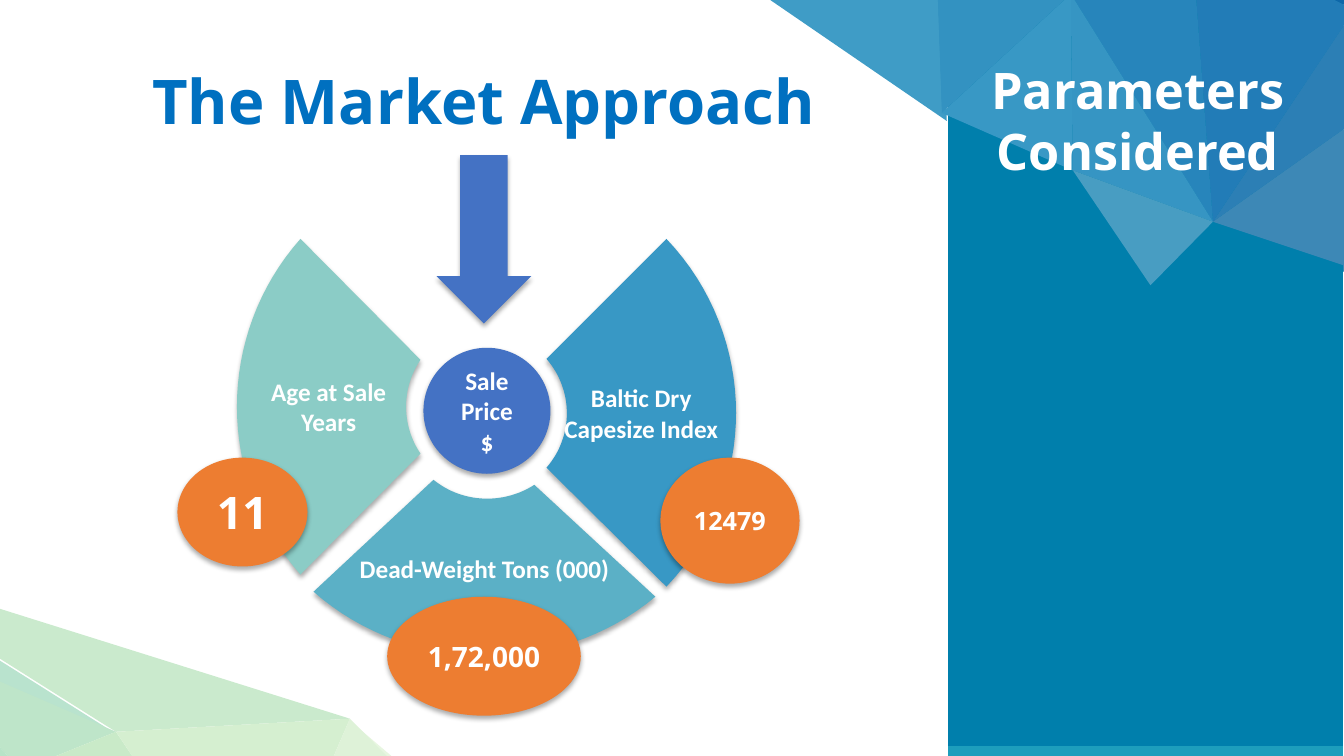
import lxml.etree
import pptx
import pptx.dml.color
import pptx.enum.shapes
import pptx.enum.text
import pptx.oxml.ns
import pptx.util

PX = 9144  # EMU per px, 100 px to the inch
WHITE, BLUE, ORANGE, TITLE = "FFFFFF", "4472C4", "ED7D31", "0070C0"
SHAPE = pptx.enum.shapes.MSO_SHAPE

# Corners of the blue facets at top right and the green ones at bottom left
CORNERS = {
    "hub": (1203, 220), "ridge": (1343, 10), "crest": (1330, -152),
    "peak": (1181, -73), "east": (1361, 108), "tail": (1389, 282),
    "notch": (1062, -6), "mid": (1064, 169), "south": (1141, 283),
    "west": (934, 112), "cap": (928, -56), "far": (705, -45),
    "slope": (-156, 555), "fold": (115, 726), "tip": (347, 713),
    "edge": (-102, 632), "base": (21, 764), "foot": (-42, 787),
    "root": (253, 931), "heel": (514, 881), "toe": (565, 898),
}
TOP_SHIFT, BOTTOM_SHIFT = (5, 8), (0, 2)
LOWER_FACETS = [
    ("B9E3CE", "slope edge fold", BOTTOM_SHIFT),
    ("3D88B6", "tail east hub", TOP_SHIFT),
    ("3F9CC6", "west cap far", TOP_SHIFT),
    ("E7F6E0", "tip heel toe", BOTTOM_SHIFT),
]
UPPER_FACETS = [
    ("3D88B6", "tail east hub"), ("0E67A9", "ridge crest peak"),
    ("2C7FB5", "east ridge hub"), ("227CB7", "ridge peak hub"),
    ("2785BB", "hub peak notch"), ("3695C3", "hub notch mid"),
    ("489DC2", "hub mid south"), ("3898C5", "mid notch west"),
    ("3392C1", "notch cap west"), ("3F9CC6", "west cap far"),
    ("CAEACD", "slope fold tip"), ("BEE5C9", "edge base fold"),
    ("B8E3C7", "edge foot base"), ("C9EAC8", "base root fold"),
    ("D5EFD0", "fold root tip"), ("DEF2D8", "tip root heel"),
]


def rgb(color):
    return pptx.dml.color.RGBColor.from_string(color)


def curve(a, b, c, d, steps=32):
    """Points along a cubic Bezier curve from a to d with handles b and c."""
    points = []
    for i in range(steps + 1):
        t = i / steps
        u = 1 - t
        points.append(tuple(
            u**3 * a[k] + 3 * u * u * t * b[k] + 3 * u * t * t * c[k] + t**3 * d[k]
            for k in (0, 1)))
    return points


class Slide:
    def __init__(self, slide, font, label_font):
        self.shapes = slide.shapes
        self.font = font
        self.label_font = label_font

    def paint(self, sp, color, shadow=False):
        sp.fill.solid()
        sp.fill.fore_color.rgb = rgb(color)
        sp.line.fill.background()
        sp.shadow.inherit = False
        if shadow:
            qn = pptx.oxml.ns.qn
            effects = sp.element.spPr.find(qn("a:effectLst"))
            outer = lxml.etree.SubElement(
                effects, qn("a:outerShdw"), blurRad="44450", dist="27940",
                dir="5400000", algn="ctr", rotWithShape="0")
            black = lxml.etree.SubElement(outer, qn("a:srgbClr"), val="000000")
            lxml.etree.SubElement(black, qn("a:alpha"), val="32000")

    def set_text(self, sp, text, size, font, color=WHITE):
        tf = sp.text_frame
        tf.word_wrap = True
        tf.text = text
        for p in tf.paragraphs:
            p.alignment = pptx.enum.text.PP_ALIGN.CENTER
            for r in p.runs:
                r.font.name = font
                r.font.size = pptx.util.Pt(size)
                r.font.bold = True
                r.font.color.rgb = rgb(color)
        return tf

    def label(self, sp, text, size, font):
        tf = self.set_text(sp, text, size, font)
        tf.vertical_anchor = pptx.enum.text.MSO_ANCHOR.MIDDLE

    def polygon(self, points, color, shadow=False):
        corners = [(round(x * PX), round(y * PX)) for x, y in points]
        builder = self.shapes.build_freeform(*corners[0], scale=1.0)
        builder.add_line_segments(corners[1:], close=True)
        sp = builder.convert_to_shape()
        self.paint(sp, color, shadow)
        return sp

    def facet(self, color, names, shift=(0, 0)):
        corners = [CORNERS[name] for name in names.split()]
        self.polygon([(x + shift[0], y + shift[1]) for x, y in corners], color)

    def panel(self, top, color):
        left, right, bottom = 940, 1332, top + 750
        self.polygon([(left, top), (right, top), (right, bottom), (left, bottom)], color)

    def wedge(self, inner, outer, color, text):
        """A ring segment between two curves, each given by four Bezier points."""
        sp = self.polygon(curve(*inner) + curve(*outer), color, shadow=True)
        self.label(sp, text, 18, self.label_font)

    def preset(self, kind, box, color):
        sp = self.shapes.add_shape(kind, *(v * PX for v in box))
        self.paint(sp, color, shadow=True)
        return sp

    def oval(self, box, color, text, size, font=None):
        sp = self.preset(SHAPE.OVAL, box, color)
        self.label(sp, text, size, font or self.font)

    def heading(self, box, text, size, color):
        sp = self.shapes.add_textbox(*(v * PX for v in box))
        tf = self.set_text(sp, text, size, self.font, color)
        tf.auto_size = pptx.enum.text.MSO_AUTO_SIZE.SHAPE_TO_FIT_TEXT


def main():
    prs = pptx.Presentation()
    prs.slide_width = pptx.util.Inches(13.33)
    prs.slide_height = pptx.util.Inches(7.5)
    s = Slide(prs.slides.add_slide(prs.slide_layouts[6]), "Open Sans", "Calibri")

    s.wedge([(530, 481), (499, 501), (458, 499), (430, 476)],
            [(311, 587), (405, 670), (553, 673), (650, 592)],
            "5BB0C6", "Dead-Weight Tons (000)")
    s.panel(0, "1D9EBC")
    for color, names, shift in LOWER_FACETS:
        s.facet(color, names, shift)
    s.wedge([(542, 356), (569, 387), (569, 433), (542, 464)],
            [(661, 582), (753, 485), (753, 334), (661, 237)],
            "3898C5", "Baltic Dry Capesize Index")
    s.wedge([(417, 450), (398, 422), (398, 385), (417, 357)],
            [(298, 237), (214, 332), (214, 475), (298, 570)],
            "8BCCC6", "Age at Sale\nYears")
    s.panel(-10, "007FAC")
    for color, names in UPPER_FACETS:
        s.facet(color, names)

    s.heading((962, 54, 333, 131), "Parameters Considered", 36, WHITE)
    s.oval((420, 345, 126, 125), BLUE, "Sale Price $", 18, s.label_font)
    s.heading((14, 58, 932, 84), "The Market Approach", 44, TITLE)
    s.preset(SHAPE.DOWN_ARROW, (433, 154, 94, 167), BLUE)
    s.oval((176, 454, 129, 108), ORANGE, "11", 32)
    s.oval((384, 592, 192, 118), ORANGE, "1,72,000", 20)
    s.oval((655, 454, 138, 125), ORANGE, "12479", 18)

    prs.save("out.pptx")


if __name__ == "__main__":
    main()
